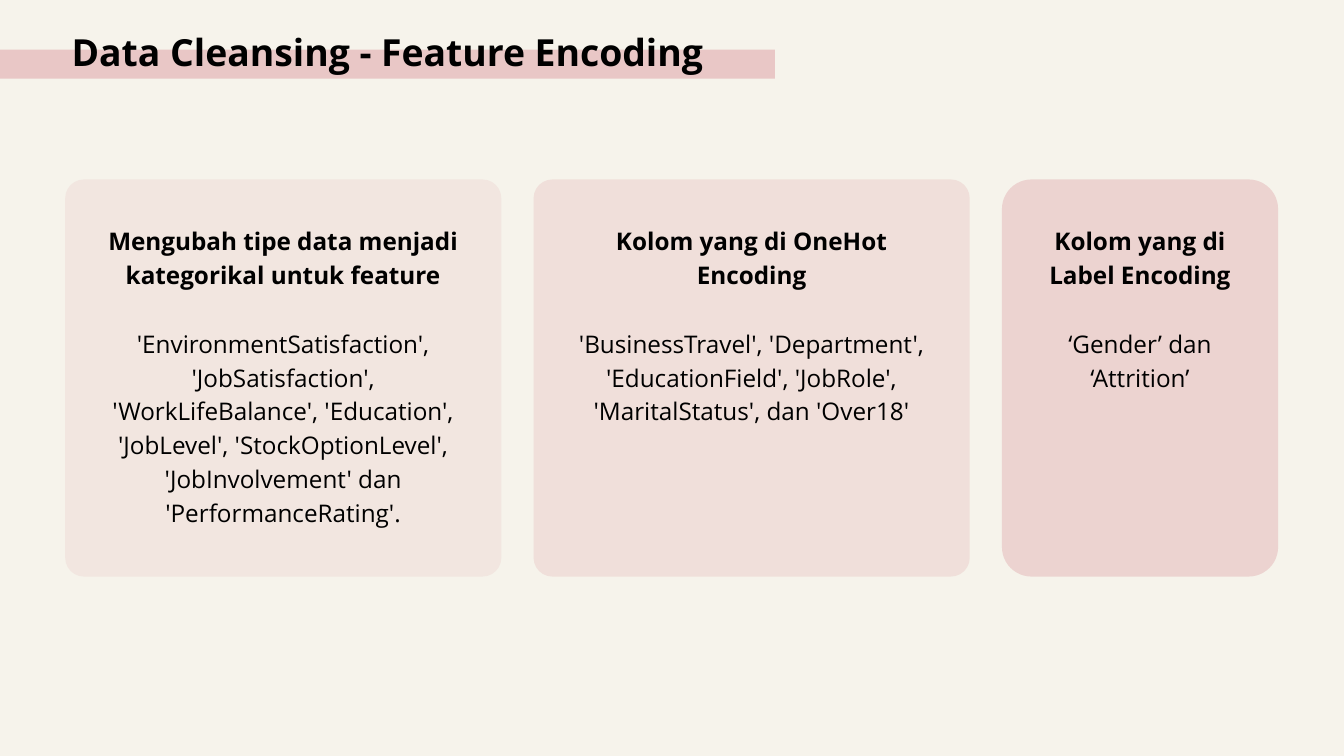
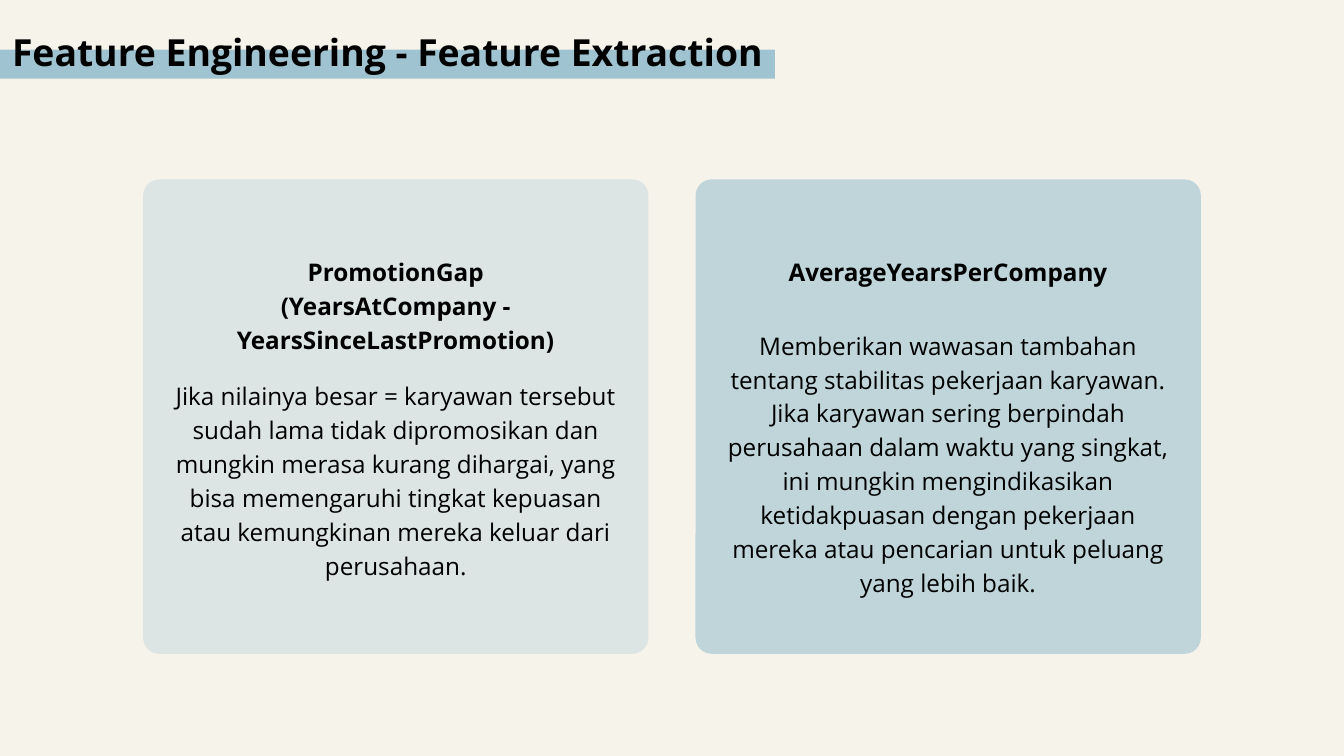
from lxml import etree
from pptx import Presentation
from pptx import util as u
from pptx.dml.color import RGBColor
from pptx.enum import shapes, text
from pptx.oxml.ns import qn

CREAM, PINK, BLUE, BLACK = "F6F3EB", "E9C7C6", "9FC3D0", "000000"
FONT = "Open Sans"
CARD_TOP = 2.67


def add_block(s, kind, box, color, alpha=100, radius=0):
    """Add a plain filled shape; alpha is in percent, radius in inches."""
    sp = s.shapes.add_shape(kind, *map(u.Inches, box))
    sp.shadow.inherit = False
    sp.line.fill.background()
    sp.fill.solid()
    sp.fill.fore_color.rgb = RGBColor.from_string(color)
    if radius:
        sp.adjustments[0] = radius / min(box[2:])
    if alpha < 100:
        clr = sp.fill._xPr.find(qn("a:solidFill"))[0]
        etree.SubElement(clr, qn("a:alpha"), val=str(alpha * 1000))


def add_text(s, content, box, size=26, leading=36.4, bold=False, color=BLACK):
    tf = s.shapes.add_textbox(*map(u.Inches, box)).text_frame
    tf.word_wrap = True
    tf.auto_size = text.MSO_AUTO_SIZE.SHAPE_TO_FIT_TEXT
    tf.margin_left = tf.margin_right = tf.margin_top = tf.margin_bottom = 0
    for i, line in enumerate(content.split("\n")):
        p = tf.add_paragraph() if i else tf.paragraphs[0]
        p.alignment = text.PP_ALIGN.CENTER
        p.line_spacing = u.Pt(leading)
        r = p.add_run()
        r.text = line
        r.font.name, r.font.size, r.font.bold = FONT, u.Pt(size), bold
        r.font.color.rgb = RGBColor.from_string(color)


# Card: width, radius, alpha, heading, heading height, body, body top, body height
slides = [
    dict(title="Data Cleansing - Feature Encoding", color=PINK,
         left=0.97, gap=0.48, inset=0.5, height=5.91, heading_top=3.29,
         cards=[
             (6.49, 0.28, 29, "Mengubah tipe data menjadi kategorikal untuk feature", 0.99,
              "'EnvironmentSatisfaction', 'JobSatisfaction', 'WorkLifeBalance', "
              "'Education', 'JobLevel', 'StockOptionLevel', 'JobInvolvement' dan "
              "'PerformanceRating'.", 4.82, 2.99),
             (6.49, 0.28, 45, "Kolom yang di OneHot Encoding", 0.99,
              "'BusinessTravel', 'Department', 'EducationField', 'JobRole', "
              "'MaritalStatus', dan 'Over18'", 4.82, 1.49),
             (4.11, 0.44, 72, "Kolom yang di Label Encoding", 0.99,
              "‘Gender’ dan ‘Attrition’", 4.82, 0.99),
         ]),
    dict(title="Feature Engineering - Feature Extraction", color=BLUE,
         left=2.13, gap=0.7, inset=0.32, height=7.06, heading_top=3.75,
         cards=[
             (7.52, 0.24, 29,
              "PromotionGap\n(YearsAtCompany - YearsSinceLastPromotion)", 1.49,
              "Jika nilainya besar = karyawan tersebut sudah lama tidak "
              "dipromosikan dan mungkin merasa kurang dihargai, yang bisa "
              "memengaruhi tingkat kepuasan atau kemungkinan mereka keluar dari "
              "perusahaan.", 5.6, 2.99),
             (7.52, 0.24, 61, "AverageYearsPerCompany", 0.49,
              "Memberikan wawasan tambahan tentang stabilitas pekerjaan karyawan. "
              "Jika karyawan sering berpindah perusahaan dalam waktu yang singkat, "
              "ini mungkin mengindikasikan ketidakpuasan dengan pekerjaan mereka "
              "atau pencarian untuk peluang yang lebih baik.", 4.85, 4.49),
         ]),
]

prs = Presentation()
prs.slide_width, prs.slide_height = u.Inches(20), u.Inches(11.25)

for page in slides:
    s = prs.slides.add_slide(prs.slide_layouts[6])
    s.background.fill.solid()
    s.background.fill.fore_color.rgb = RGBColor.from_string(CREAM)

    add_block(s, shapes.MSO_SHAPE.RECTANGLE, (0, 0.74, 11.53, 0.43), page["color"])
    add_text(s, page["title"], (0, 0.33, 11.53, 0.74), size=40, leading=56, bold=True)

    x = page["left"]
    for width, radius, alpha, heading, heading_h, body, body_top, body_h in page["cards"]:
        add_block(s, shapes.MSO_SHAPE.ROUNDED_RECTANGLE,
                  (x, CARD_TOP, width, page["height"]), page["color"], alpha, radius)
        text_x, text_w = x + page["inset"], width - 2 * page["inset"]
        add_text(s, heading, (text_x, page["heading_top"], text_w, heading_h), bold=True)
        add_text(s, body, (text_x, body_top, text_w, body_h))
        x += width + page["gap"]

prs.save("out.pptx")
